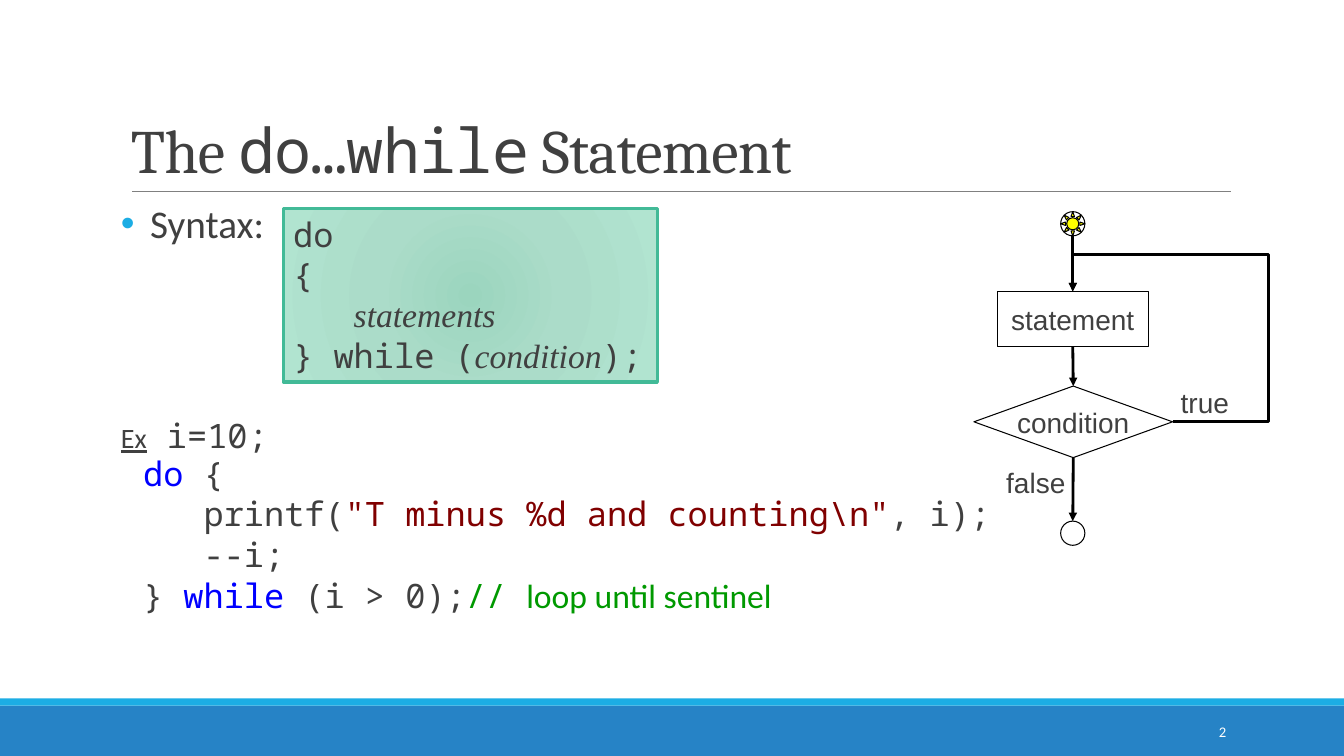
from lxml.etree import SubElement
from pptx import Presentation
from pptx.dml.color import RGBColor
from pptx.enum.shapes import MSO_CONNECTOR as LINK, MSO_SHAPE as SHAPE
from pptx.enum.text import MSO_ANCHOR as ANCHOR, PP_ALIGN as ALIGN
from pptx.oxml import parse_xml
from pptx.oxml.ns import nsdecls, qn
from pptx.util import Inches, Pt

GRAY = RGBColor(0x40, 0x40, 0x40)
RULE = RGBColor(0x80, 0x80, 0x80)
BLACK = RGBColor(0, 0, 0)
WHITE = RGBColor(0xFF, 0xFF, 0xFF)
BLUE = RGBColor(0x26, 0x83, 0xC6)
CYAN = RGBColor(0x1C, 0xAD, 0xE4)
GREEN = RGBColor(0x42, 0xBA, 0x97)
YELLOW = RGBColor(0xFF, 0xFF, 0)
KEYWORD = RGBColor(0, 0, 0xFF)
STRING = RGBColor(0x80, 0, 0)
COMMENT = RGBColor(0, 0x99, 0)
MONO, SANS, SERIF = "Noto Sans Mono", "Calibri", "Times New Roman"

deck = Presentation()
deck.slide_width, deck.slide_height = Inches(13.33), Inches(7.5)
page = deck.slides.add_slide(deck.slide_layouts[6])


def write(box, lines, size, font, color=GRAY, align=ALIGN.LEFT, anchor=ANCHOR.TOP, wrap=True, inset=None):
    frame = box.text_frame
    frame.word_wrap, frame.vertical_anchor = wrap, anchor
    if inset:
        frame.margin_left = frame.margin_right = Inches(inset[0])
        frame.margin_top = frame.margin_bottom = Inches(inset[1])
    for number, (layout, spans) in enumerate(lines):
        para = frame.add_paragraph() if number else frame.paragraphs[0]
        para.alignment = align
        for name, value in layout.items():
            if name in ("marL", "indent"):
                para._p.get_or_add_pPr().set(name, str(Inches(value)))
            else:
                setattr(para, name, value)
        for text, look in spans:
            span = para.add_run()
            span.text = text
            look = {"size": size, "name": font, "color": color, **look}
            span.font.color.rgb = look.pop("color")
            span.font.size = Pt(look.pop("size"))
            for name, value in look.items():
                setattr(span.font, name, value)


def link(kind, start, end, color=BLACK, width=2, arrow=True):
    line = page.shapes.add_connector(kind, *map(Inches, start + end))
    line.line.color.rgb = color
    line.line.width = Pt(width)
    if arrow:
        SubElement(line.line._get_or_add_ln(), qn("a:tailEnd"), type="triangle")
    SubElement(line._element.spPr, qn("a:effectLst"))
    return line


figures = {}
for name, kind, place, fill, edge, width in [
    ("footer", SHAPE.RECTANGLE, (0, 7, 13.33, 0.5), BLUE, None, 0),
    ("stripe", SHAPE.RECTANGLE, (0, 6.93, 13.33, 0.07), CYAN, None, 0),
    ("syntax", SHAPE.RECTANGLE, (2.81, 2.07, 3.71, 1.72), None, GREEN, 2.25),
    ("condition", SHAPE.FLOWCHART_DECISION, (9.66, 3.83, 1.97, 0.71), None, BLACK, 0.75),
    ("statement", SHAPE.FLOWCHART_PROCESS, (9.89, 2.89, 1.5, 0.55), None, BLACK, 0.75),
    ("finish", SHAPE.FLOWCHART_CONNECTOR, (10.52, 5.17, 0.24, 0.24), None, BLACK, 0.75),
    ("start", SHAPE.FLOWCHART_CONNECTOR, (10.52, 2.1, 0.24, 0.24), None, BLACK, 0.75),
    ("sun", SHAPE.SUN, (10.52, 2.1, 0.24, 0.24), YELLOW, BLACK, 0.75),
]:
    figure = page.shapes.add_shape(kind, *map(Inches, place))
    figure.shadow.inherit = False
    if fill is None:
        figure.fill.background()
    else:
        figure.fill.solid()
        figure.fill.fore_color.rgb = fill
    if edge is None:
        figure.line.fill.background()
    else:
        figure.line.color.rgb = edge
        figure.line.width = Pt(width)
    figures[name] = figure

stops = "".join(
    f'<a:gs pos="{position * 1000}"><a:srgbClr val="{color}"/></a:gs>'
    for position, color in [(0, "9BD5BE"), (45, "ABDCC9"), (100, "B1E4D0")]
)
gradient = parse_xml(
    f'<a:gradFill {nsdecls("a")} rotWithShape="1"><a:gsLst>{stops}</a:gsLst><a:path path="circle">'
    '<a:fillToRect l="100000" t="100000" r="100000" b="100000"/></a:path></a:gradFill>'
)
properties = figures["syntax"]._element.spPr
properties.replace(properties.find(qn("a:noFill")), gradient)

link(LINK.STRAIGHT, (1.31, 1.9), (12.21, 1.9), RULE, 0.5, arrow=False)

title = page.shapes.add_textbox(*map(Inches, (1.2, 0.31, 11, 1.59)))
write(title, [({"line_spacing": 0.85}, [("The ", {}), ("do…while", {"name": MONO}), (" Statement", {})])],
      44, "Cambria", anchor=ANCHOR.BOTTOM)
for span in title.text_frame.paragraphs[0].runs:
    span.font._element.set("spc", "-50")

item = {"line_spacing": 0.8, "space_before": Pt(12), "space_after": Pt(2), "marL": 0.29, "indent": -0.29}
code = {"line_spacing": 0.8, "space_before": Pt(2), "space_after": Pt(4), "marL": 0.22, "indent": 0}
nested = {**code, "marL": 0.82}
body = page.shapes.add_textbox(*map(Inches, (1.2, 2.02, 11, 4.4)))
write(body, [
    (item, [("Syntax:", {"size": 28, "name": SANS})]),
    ({**item, "space_before": Pt(124)}, [("Ex", {"size": 20, "name": SANS, "underline": True}), (" i=10;", {})]),
    (code, [("do", {"color": KEYWORD}), (" {", {})]),
    (nested, [("printf(", {}), ("\"T minus %d and counting\\n\"", {"color": STRING}), (", i);", {})]),
    (nested, [("--i;", {})]),
    (code, [("} ", {}), ("while", {"color": KEYWORD}), (" (i > 0);", {}), ("// ", {"color": COMMENT}),
            ("loop until sentinel", {"color": COMMENT, "name": SANS})]),
], 24, MONO, inset=(0, 0.05))
bullet = body.text_frame.paragraphs[0]._p.get_or_add_pPr()
SubElement(SubElement(bullet, qn("a:buClr")), qn("a:srgbClr"), val=str(CYAN))
SubElement(bullet, qn("a:buFont"), typeface="Arial")
SubElement(bullet, qn("a:buChar"), char="•")

slanted = {"name": SERIF, "italic": True}
write(figures["syntax"], [
    ({}, [("do", {})]),
    ({}, [("{", {})]),
    ({"marL": 0.6, "indent": 0}, [("statements", slanted)]),
    ({}, [("} while (", {}), ("condition", slanted), (");", {})]),
], 24, MONO, wrap=False)

for name in ("statement", "condition"):
    write(figures[name], [({}, [(name, {})])], 20, "Arial", align=ALIGN.CENTER, anchor=ANCHOR.MIDDLE, wrap=False)
for answer, left, top in [("true", 11.71, 3.83), ("false", 9.98, 4.62)]:
    label = page.shapes.add_textbox(*map(Inches, (left, top, 0.71, 0.32)))
    write(label, [({}, [(answer, {})])], 20, "Arial", anchor=ANCHOR.MIDDLE, wrap=False, inset=(0, 0))

number = page.shapes.add_textbox(*map(Inches, (10.83, 7.06, 1.43, 0.4)))
write(number, [({}, [("2", {})])], 10.5, SANS, WHITE, ALIGN.RIGHT, ANCHOR.MIDDLE)

for top, bottom, source, target in [
    (2.34, 2.89, None, "statement"),
    (3.44, 3.83, "statement", "condition"),
    (4.54, 5.17, "condition", "finish"),
]:
    arrow = link(LINK.STRAIGHT, (10.64, top), (10.64, bottom))
    if source:
        arrow.begin_connect(figures[source], 2)
    arrow.end_connect(figures[target], 0)

loop = link(LINK.ELBOW, (11.63, 4.19), (10.64, 2.89))
loop.begin_connect(figures["condition"], 3)
loop.end_connect(figures["statement"], 0)
bend = loop._element.spPr.find(qn("a:prstGeom"))
bend.set("prst", "bentConnector4")
guides = bend.find(qn("a:avLst"))
for name, value in [("adj1", -95800), ("adj2", 128000)]:
    SubElement(guides, qn("a:gd"), name=name, fmla=f"val {value}")

deck.save("out.pptx")
